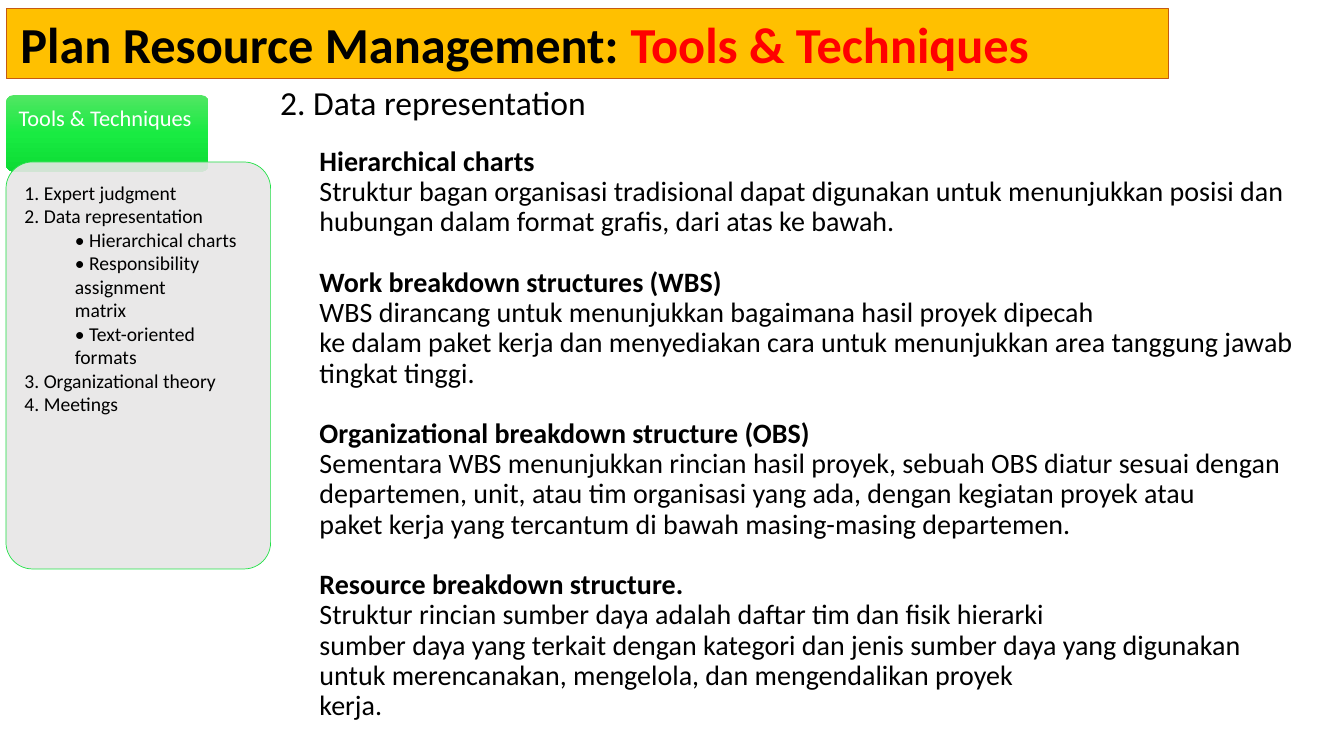
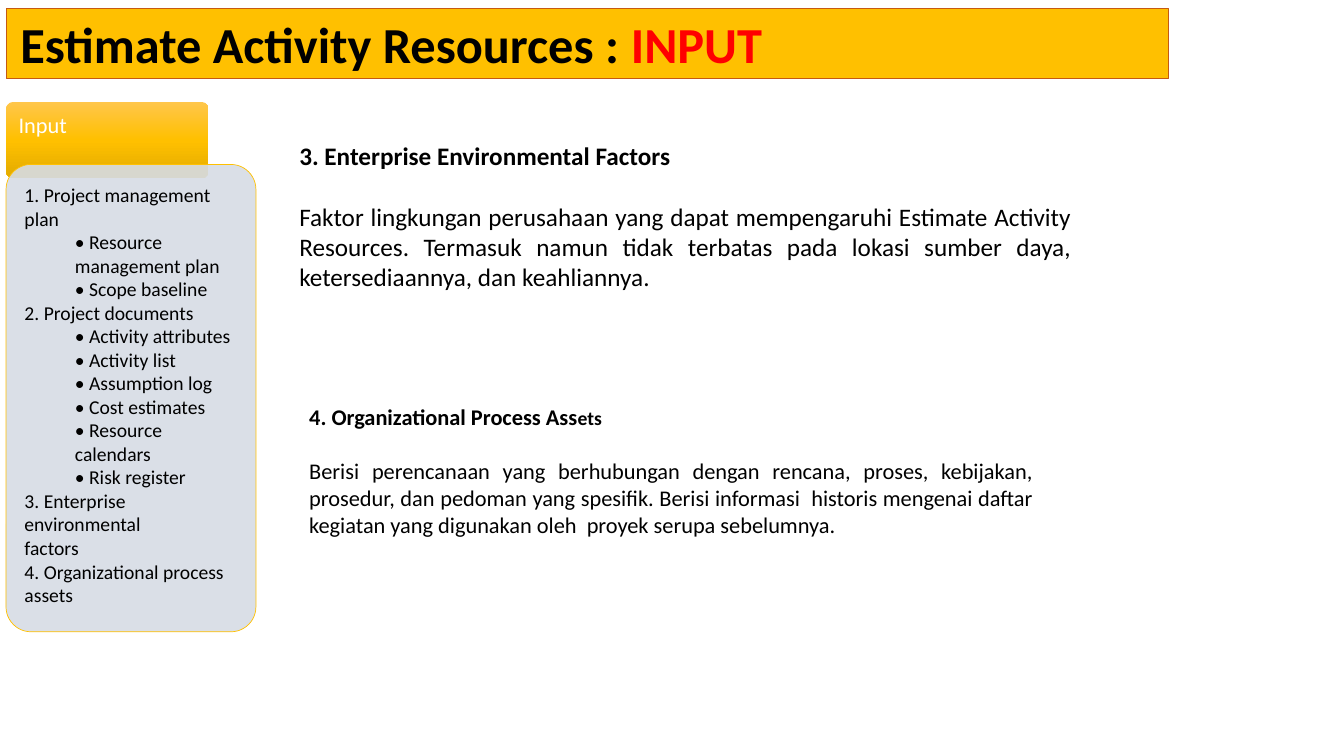
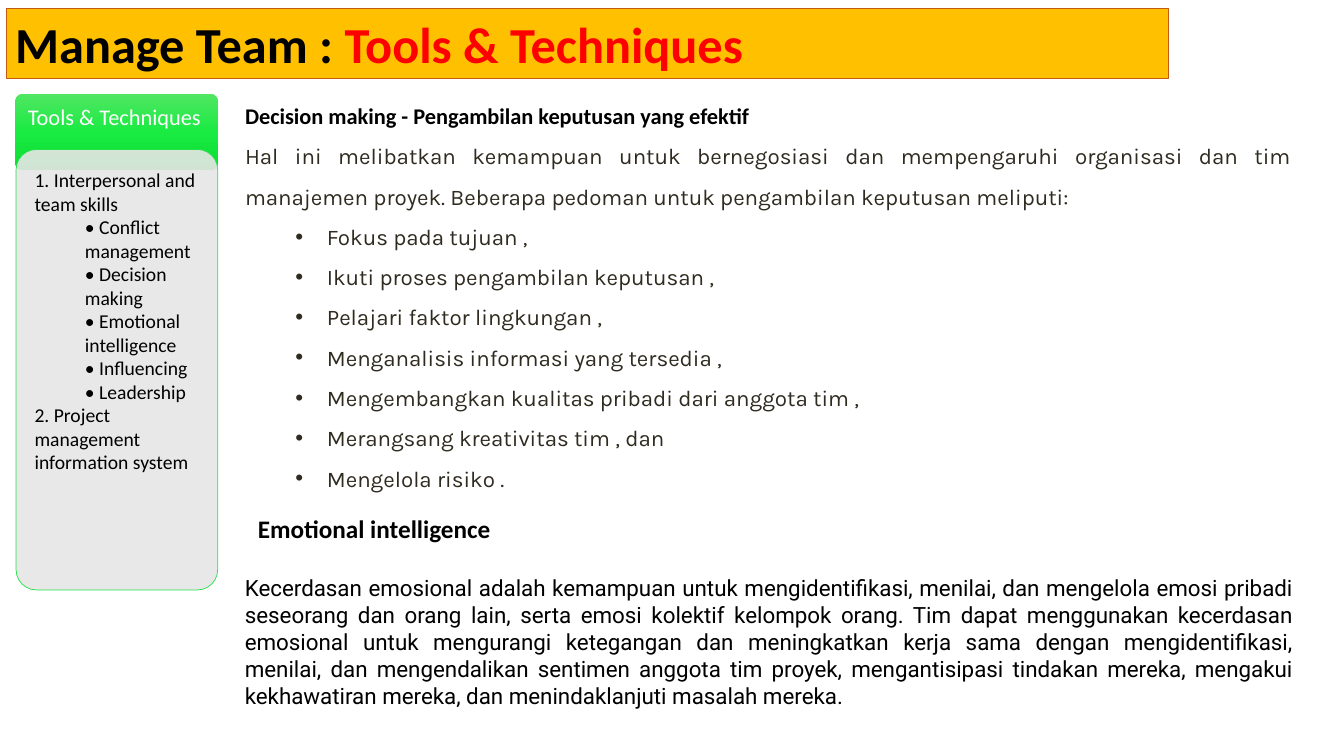
import copy
from dataclasses import dataclass
from typing import NamedTuple

import lxml.etree
import pptx
import pptx.dml.color
import pptx.enum.shapes
import pptx.enum.text
import pptx.oxml.ns
import pptx.shapes.autoshape
import pptx.slide
import pptx.text.text
import pptx.util

Pt = pptx.util.Pt
RGBColor = pptx.dml.color.RGBColor
Align = pptx.enum.text.PP_ALIGN
Anchor = pptx.enum.text.MSO_ANCHOR
qn = pptx.oxml.ns.qn

BLACK = RGBColor(0x00, 0x00, 0x00)
WHITE = RGBColor(0xFF, 0xFF, 0xFF)
RED = RGBColor(0xFF, 0x00, 0x00)
AMBER = RGBColor(0xFF, 0xC0, 0x00)
RUST = RGBColor(0xC5, 0x5A, 0x11)
OLIVE = RGBColor(0x2F, 0x2B, 0x20)
GREEN = RGBColor(0x23, 0xE1, 0x48)
LIGHT_GREY = RGBColor(0xE7, 0xE6, 0xE6)
LIGHT_BLUE = RGBColor(0xD6, 0xDC, 0xE5)
GREEN_SHADES = (RGBColor(0x51, 0xE6, 0x63), RGBColor(0x19, 0xEB, 0x42), RGBColor(0x0C, 0xDB, 0x34))
AMBER_SHADES = (RGBColor(0xFF, 0xC6, 0x4B), AMBER, RGBColor(0xE3, 0xAB, 0x00))

CORNER = 0.1
CORNER_TEXT_INSET = 0.29289


class Box(NamedTuple):
    left: float
    top: float
    width: float
    height: float


class Insets(NamedTuple):
    left: float
    top: float
    right: float
    bottom: float


class Theme(NamedTuple):
    shades: tuple[RGBColor, ...]
    panel: RGBColor
    outline: RGBColor


class Section(NamedTuple):
    heading: str
    lines: tuple[str, ...]


@dataclass
class Sidebar:
    label: str
    items: tuple[str, ...]
    theme: Theme
    tab: Box
    panel: Box


BANNER = Box(4.32, 5.76, 830.16, 50.4)
TEXT_INSETS = Insets(7.2, 3.6, 7.2, 3.6)
EVEN_INSETS = Insets(7.2, 7.2, 7.2, 7.2)
NO_INSETS = Insets(0, 0, 0, 0)
TOOLS_THEME = Theme(GREEN_SHADES, LIGHT_GREY, GREEN)
INPUT_THEME = Theme(AMBER_SHADES, LIGHT_BLUE, AMBER)

RESOURCE_TOOLS = Sidebar(
    "Tools & Techniques",
    (
        "1. Expert judgment",
        "2. Data representation",
        "• Hierarchical charts",
        "• Responsibility assignment",
        "matrix",
        "• Text-oriented formats",
        "3. Organizational theory",
        "4. Meetings",
    ),
    TOOLS_THEME,
    Box(4.32, 67.9, 144.72, 54.72),
    Box(4.32, 115.7, 189, 290.7),
)
ACTIVITY_INPUTS = Sidebar(
    "Input",
    (
        "1. Project management plan",
        "• Resource management plan",
        "• Scope baseline",
        "2. Project documents",
        "• Activity attributes",
        "• Activity list",
        "• Assumption log",
        "• Cost estimates",
        "• Resource calendars",
        "• Risk register",
        "3. Enterprise environmental",
        "factors",
        "4. Organizational process assets",
    ),
    INPUT_THEME,
    Box(4.32, 72.7, 144.72, 54.72),
    Box(4.32, 117.5, 178.5, 333.8),
)
TEAM_TOOLS = Sidebar(
    "Tools & Techniques",
    (
        "1. Interpersonal and team skills",
        "• Conflict management",
        "• Decision making",
        "• Emotional intelligence",
        "• Influencing",
        "• Leadership",
        "2. Project management",
        "information system",
    ),
    TOOLS_THEME,
    Box(10.9, 66.9, 144.72, 54.72),
    Box(11.5, 106.8, 144, 314.6),
)
STRUCTURES = (
    Section("Hierarchical charts", (
        "Struktur bagan organisasi tradisional dapat digunakan untuk menunjukkan posisi dan "
        "hubungan dalam format grafis, dari atas ke bawah.",
    )),
    Section("Work breakdown structures (WBS)", (
        "WBS dirancang untuk menunjukkan bagaimana hasil proyek dipecah",
        "ke dalam paket kerja dan menyediakan cara untuk menunjukkan area tanggung jawab "
        "tingkat tinggi.",
    )),
    Section("Organizational breakdown structure (OBS)", (
        "Sementara WBS menunjukkan rincian hasil proyek, sebuah OBS diatur sesuai dengan "
        "departemen, unit, atau tim organisasi yang ada, dengan kegiatan proyek atau",
        "paket kerja yang tercantum di bawah masing-masing departemen.",
    )),
    Section("Resource breakdown structure.", (
        "Struktur rincian sumber daya adalah daftar tim dan fisik hierarki",
        "sumber daya yang terkait dengan kategori dan jenis sumber daya yang digunakan untuk "
        "merencanakan, mengelola, dan mengendalikan proyek",
        "kerja.",
    )),
)
DECISION_GUIDELINES = (
    "Fokus pada tujuan ,",
    "Ikuti proses pengambilan keputusan ,",
    "Pelajari faktor lingkungan ,",
    "Menganalisis informasi yang tersedia ,",
    "Mengembangkan kualitas pribadi dari anggota tim ,",
    "Merangsang kreativitas tim , dan",
    "Mengelola risiko .",
)


def add_text(
    frame: pptx.text.text.TextFrame,
    text: str,
    *,
    size: float,
    font: str = "Calibri",
    color: RGBColor = BLACK,
    bold: bool = False,
    align: Align = Align.LEFT,
    line_spacing: float = 1.0,
    before: float = 0,
    indent: float = 0,
    hanging: float = 0,
    bullet: str = "",
    same_line: bool = False,
) -> None:
    paragraph = frame.paragraphs[-1]
    if not same_line:
        if paragraph.runs:
            paragraph = frame.add_paragraph()
        properties = paragraph._p.get_or_add_pPr()
        properties.set("marL", str(int(Pt(indent))))
        properties.set("indent", str(int(Pt(-hanging))))
        if bullet:
            lxml.etree.SubElement(properties, qn("a:buFont")).set("typeface", "Arial")
            lxml.etree.SubElement(properties, qn("a:buChar")).set("char", bullet)
        else:
            lxml.etree.SubElement(properties, qn("a:buNone"))
        paragraph.alignment = align
        paragraph.line_spacing = line_spacing
        paragraph.space_before = Pt(before)
        paragraph.space_after = Pt(0)
    run = paragraph.add_run()
    run.text = text
    run.font.size = Pt(size)
    run.font.name = font
    run.font.bold = bold
    run.font.color.rgb = color


def prepare_frame(
    shape: pptx.shapes.autoshape.Shape, insets: Insets, anchor: Anchor = Anchor.TOP
) -> pptx.text.text.TextFrame:
    frame = shape.text_frame
    frame.auto_size = pptx.enum.text.MSO_AUTO_SIZE.NONE
    frame.word_wrap = True
    frame.vertical_anchor = anchor
    frame.margin_left, frame.margin_top, frame.margin_right, frame.margin_bottom = map(Pt, insets)
    return frame


def move(shape: pptx.shapes.autoshape.Shape, box: Box) -> None:
    shape.left, shape.top, shape.width, shape.height = map(Pt, box)


def place_body(
    slide: pptx.slide.Slide, box: Box, insets: Insets, anchor: Anchor = Anchor.TOP
) -> pptx.text.text.TextFrame:
    body = slide.placeholders[1]
    move(body, box)
    return prepare_frame(body, insets, anchor)


def add_note(
    slide: pptx.slide.Slide, box: Box, insets: Insets = TEXT_INSETS, anchor: Anchor = Anchor.TOP
) -> pptx.text.text.TextFrame:
    return prepare_frame(slide.shapes.add_textbox(*map(Pt, box)), insets, anchor)


def add_rounded(
    slide: pptx.slide.Slide, box: Box, insets: Insets
) -> pptx.shapes.autoshape.Shape:
    rounded = slide.shapes.add_shape(
        pptx.enum.shapes.MSO_SHAPE.ROUNDED_RECTANGLE, *map(Pt, box)
    )
    rounded.adjustments[0] = CORNER
    rounded.shadow.inherit = False
    corner_inset = CORNER * min(box.width, box.height) * CORNER_TEXT_INSET
    prepare_frame(rounded, Insets(*(inset - corner_inset for inset in insets)))
    return rounded


def fill_gradient(
    shape: pptx.shapes.autoshape.Shape, shades: tuple[RGBColor, ...]
) -> None:
    shape.fill.gradient()
    shape.fill.gradient_angle = 270
    stop_list = shape._element.spPr.find(".//" + qn("a:gsLst"))
    while len(stop_list) < len(shades):
        stop_list.append(copy.deepcopy(stop_list[0]))
    for index, (stop, shade) in enumerate(zip(shape.fill.gradient_stops, shades)):
        stop.color.rgb = shade
        stop.position = index / (len(shades) - 1)


def add_sidebar(slide: pptx.slide.Slide, sidebar: Sidebar) -> None:
    theme = sidebar.theme
    tab = add_rounded(slide, sidebar.tab, Insets(8.96, 8.96, 8.96, 23))
    fill_gradient(tab, theme.shades)
    tab.line.fill.background()
    add_text(tab.text_frame, sidebar.label, size=16, color=WHITE, line_spacing=0.9)

    panel = add_rounded(slide, sidebar.panel, Insets(13.2, 13.2, 13.2, 13.2))
    panel.fill.solid()
    panel.fill.fore_color.rgb = theme.panel
    panel_color = panel._element.spPr.find(qn("a:solidFill")).find(qn("a:srgbClr"))
    lxml.etree.SubElement(panel_color, qn("a:alpha")).set("val", "90000")
    panel.line.color.rgb = theme.outline
    panel.line.width = Pt(0.5)
    for item in sidebar.items:
        nested = item.startswith("•") or item == "matrix"
        add_text(panel.text_frame, item, size=14, indent=36 if nested else 0)


def add_slide(
    deck: pptx.presentation.Presentation, process: str, topic: str, title_inset: float = 10.25
) -> pptx.slide.Slide:
    slide = deck.slides.add_slide(deck.slide_layouts[1])
    banner = slide.shapes.title
    move(banner, BANNER)
    banner.fill.solid()
    banner.fill.fore_color.rgb = AMBER
    banner.line.color.rgb = RUST
    banner.line.width = Pt(0.75)
    frame = prepare_frame(banner, Insets(title_inset, 3.6, 6.48, 3.6))
    add_text(frame, process, size=36, bold=True)
    add_text(frame, topic, size=36, bold=True, color=RED, same_line=True)
    return slide


def add_data_representation(deck: pptx.presentation.Presentation) -> None:
    slide = add_slide(deck, "Plan Resource Management: ", "Tools & Techniques")
    structures = place_body(slide, Box(221, 86.4, 720, 436.3), EVEN_INSETS, Anchor.BOTTOM)
    for index, section in enumerate(STRUCTURES):
        add_text(structures, section.heading, size=20, bold=True, line_spacing=0.9,
                 before=21.6 if index else 0)
        for line in section.lines:
            add_text(structures, line, size=20, line_spacing=0.9)
    add_sidebar(slide, RESOURCE_TOOLS)
    subtitle = add_note(slide, Box(193, 56.2, 453.6, 38.9), EVEN_INSETS, Anchor.BOTTOM)
    add_text(subtitle, "2. Data representation", size=24, line_spacing=0.9)


def add_activity_inputs(deck: pptx.presentation.Presentation) -> None:
    slide = add_slide(deck, "Estimate Activity Resources : ", "INPUT")
    factors = place_body(slide, Box(213.8, 100.1, 551.5, 125.3), NO_INSETS)
    add_text(factors, "3. Enterprise Environmental Factors", size=18, bold=True,
             align=Align.JUSTIFY)
    add_text(
        factors,
        "Faktor lingkungan perusahaan yang dapat mempengaruhi Estimate Activity Resources. "
        "Termasuk namun tidak terbatas pada lokasi sumber daya, ketersediaannya, dan keahliannya.",
        size=18, align=Align.JUSTIFY, before=21.8,
    )
    assets = add_note(slide, Box(213.8, 284.4, 531.4, 104.4))
    add_text(assets, "4. Organizational Process Ass", size=16, bold=True, align=Align.JUSTIFY)
    add_text(assets, "ets", size=14, bold=True, same_line=True)
    add_text(
        assets,
        "Berisi perencanaan yang berhubungan dengan rencana, proses, kebijakan, prosedur, dan "
        "pedoman yang spesifik. Berisi informasi  historis mengenai daftar kegiatan yang "
        "digunakan oleh  proyek serupa sebelumnya.",
        size=16, align=Align.JUSTIFY, before=19.5,
    )
    add_sidebar(slide, ACTIVITY_INPUTS)


def add_team_tools(deck: pptx.presentation.Presentation) -> None:
    slide = add_slide(deck, "Manage Team : ", "Tools & Techniques", title_inset=6.48)
    add_sidebar(slide, TEAM_TOOLS)
    decisions = place_body(slide, Box(167.8, 59.8, 761.8, 298), TEXT_INSETS)
    add_text(decisions, "Decision making - Pengambilan keputusan yang efektif", size=16,
             bold=True, align=Align.JUSTIFY, line_spacing=1.5)
    add_text(
        decisions,
        "Hal ini melibatkan kemampuan untuk bernegosiasi dan mempengaruhi organisasi dan tim "
        "manajemen proyek. Beberapa pedoman untuk pengambilan keputusan meliputi:",
        size=16, font="Karla", color=OLIVE, align=Align.JUSTIFY, line_spacing=1.5,
    )
    for guideline in DECISION_GUIDELINES:
        add_text(decisions, guideline, size=16, font="Karla", color=OLIVE, align=Align.JUSTIFY,
                 line_spacing=1.5, indent=58.5, hanging=22.5, bullet="•")
    emotional_heading = add_note(slide, Box(177.1, 362.9, 182, 28.8))
    add_text(emotional_heading, "Emotional intelligence", size=18, bold=True)
    emotional_text = add_note(slide, Box(167.8, 406.8, 763.2, 104.4))
    add_text(
        emotional_text,
        "Kecerdasan emosional adalah kemampuan untuk mengidentifikasi, menilai, dan mengelola "
        "emosi pribadi seseorang dan orang lain, serta emosi kolektif kelompok orang. Tim dapat "
        "menggunakan kecerdasan emosional untuk mengurangi ketegangan dan meningkatkan kerja sama "
        "dengan mengidentifikasi, menilai, dan mengendalikan sentimen anggota tim proyek, "
        "mengantisipasi tindakan mereka, mengakui kekhawatiran mereka, dan menindaklanjuti "
        "masalah mereka.",
        size=16, font="Roboto", align=Align.JUSTIFY,
    )


def main() -> None:
    deck = pptx.Presentation()
    deck.slide_width = Pt(960)
    deck.slide_height = Pt(540)
    add_data_representation(deck)
    add_activity_inputs(deck)
    add_team_tools(deck)
    deck.save("out.pptx")


if __name__ == "__main__":
    main()
